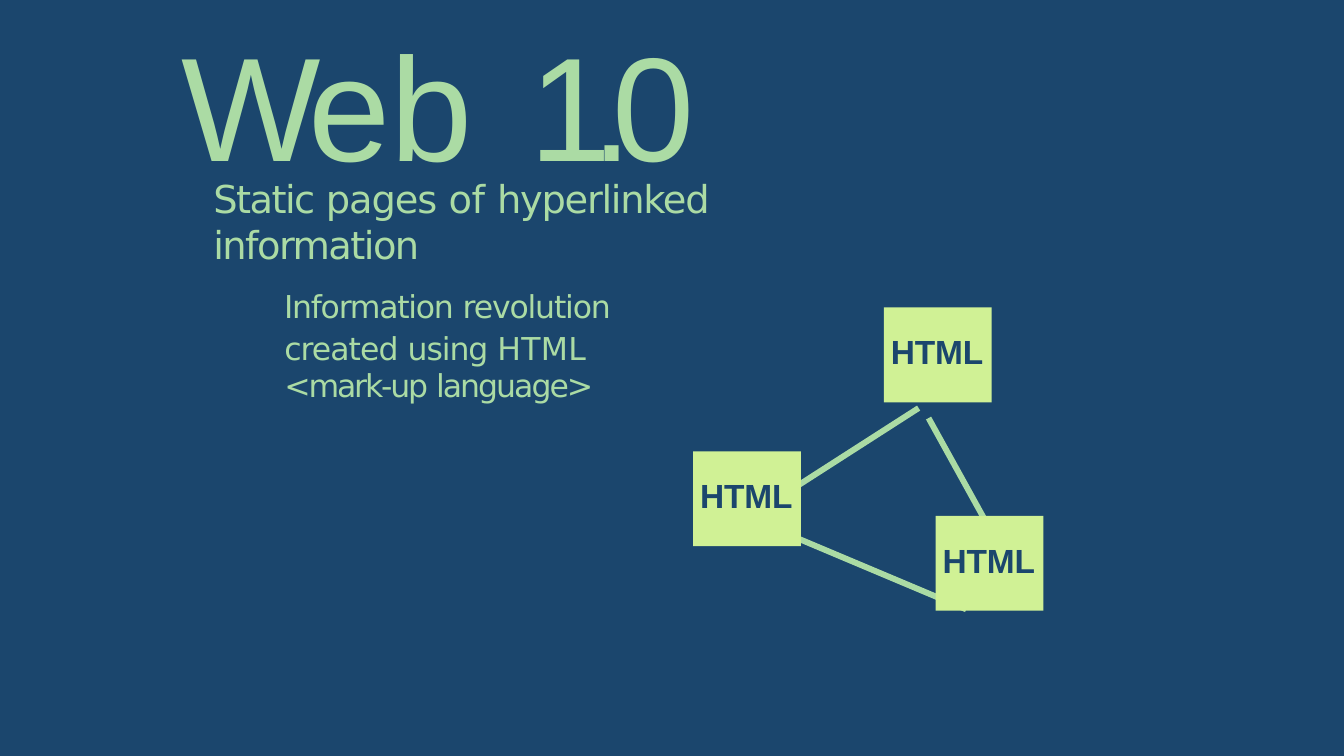
from pptx import Presentation, util as u
from pptx.dml.color import RGBColor
from pptx.enum import shapes, text
from pptx.oxml.ns import qn
from lxml import etree

NAVY = RGBColor(0x1B, 0x46, 0x6D)
SAGE = RGBColor(0xAB, 0xDB, 0xA4)
LIME = RGBColor(0xD0, 0xF1, 0x95)
WIDTH, HEIGHT = u.Inches(18.96), u.Inches(10.67)

# Content: places are percentages of the slide's width and height.
# Each paragraph: size, indent (in), space before (pt), line pitch (pt), runs.
# Each run: wording and letter spacing (pt).
TEXTS = [
    {"at": (13.5, 0, 84.12, 46.95), "top": 0.2, "font": "Arial", "paragraphs": [
        (150, 0, 0, None, [("We", -10), ("b ", 8), ("1.0", -20.6)])]},
    {"at": (15.87, 19.59, 52.4, 23.15), "top": 0.38, "font": "DejaVu Sans", "paragraphs": [
        (39, 0, 0, None, [("Static ", -1.6), ("pages ", -1.1), ("of ", -0.3),
                          ("hyperlinked ", -1.3), ("information", -1.6)]),
        (32, 1, 20.2, None, [("Information ", -1.3), ("revolution", -1.2)])]},
    {"at": (21.15, 43.49, 43.25, 9.93), "top": 0.01, "font": "DejaVu Sans", "paragraphs": [
        (32, 0, 0, 37.7, [("created ", -1), ("using ", -1.1), ("HTML", 0.3)]),
        (32, 0, 0, 37.7, [("<mark-up ", -2.2), ("language>", -2)])]},
]
PAGE_LABEL = "HTML"
PAGE_SIZE = (8.02, 12.56)
PAGES = [(51.58, 59.7), (69.62, 68.23), (65.77, 40.67)]
LINKS = [
    (58.49, 65.23, 68.35, 53.98),
    (58.49, 70.57, 71.89, 80.6),
    (74.42, 72.45, 69.09, 55.3),
]


def place(*percentages):
    """Turn alternating x and y percentages into slide lengths."""
    return [int(side * share / 100)
            for share, side in zip(percentages, (WIDTH, HEIGHT) * 2)]


def prepare_frame(frame, left, top):
    frame.word_wrap = True
    frame.vertical_anchor = text.MSO_ANCHOR.TOP
    frame.margin_left, frame.margin_top = u.Inches(left), u.Inches(top)
    frame.margin_right = frame.margin_bottom = 0


def add_run(paragraph, wording, spacing):
    run = paragraph.add_run()
    run.text = wording
    run.font._element.set("spc", str(round(spacing * 100)))


def style_font(paragraph, name, size, color, bold=False):
    font = paragraph.font
    font.name, font.size, font.bold = name, u.Pt(size), bold
    font.color.rgb = color


def add_text(slide, block):
    frame = slide.shapes.add_textbox(*place(*block["at"])).text_frame
    prepare_frame(frame, 0, block["top"])
    for index, (size, indent, before, pitch, runs) in enumerate(block["paragraphs"]):
        paragraph = frame.add_paragraph() if index else frame.paragraphs[0]
        if indent:
            paragraph._p.get_or_add_pPr().set("marL", str(u.Inches(indent)))
        if before:
            paragraph.space_before = u.Pt(before)
        if pitch:
            paragraph.line_spacing = u.Pt(pitch)
        for wording, spacing in runs:
            add_run(paragraph, wording, spacing)
        style_font(paragraph, block["font"], size, SAGE)


def add_link(slide, ends):
    link = slide.shapes.add_connector(shapes.MSO_CONNECTOR.STRAIGHT, *place(*ends))
    link.line.color.rgb = SAGE
    link.line.width = u.Pt(6)
    etree.SubElement(link._element.spPr, qn("a:effectLst"))


def add_page(slide, corner):
    page = slide.shapes.add_shape(shapes.MSO_SHAPE.RECTANGLE, *place(*corner, *PAGE_SIZE))
    page.shadow.inherit = False
    page.fill.solid()
    page.fill.fore_color.rgb = LIME
    page.line.fill.background()
    prepare_frame(page.text_frame, 0.1, 0.34)
    paragraph = page.text_frame.paragraphs[0]
    paragraph.alignment = text.PP_ALIGN.LEFT
    add_run(paragraph, PAGE_LABEL, -0.1)
    style_font(paragraph, "Arial", 34, NAVY, bold=True)


def main():
    presentation = Presentation()
    presentation.slide_width, presentation.slide_height = WIDTH, HEIGHT
    slide = presentation.slides.add_slide(presentation.slide_layouts[6])
    slide.background.fill.solid()
    slide.background.fill.fore_color.rgb = NAVY

    # Title and description
    for block in TEXTS:
        add_text(slide, block)
    # Hyperlinked pages, with the links behind them
    for ends in LINKS:
        add_link(slide, ends)
    for corner in PAGES:
        add_page(slide, corner)

    presentation.save("out.pptx")


if __name__ == "__main__":
    main()
